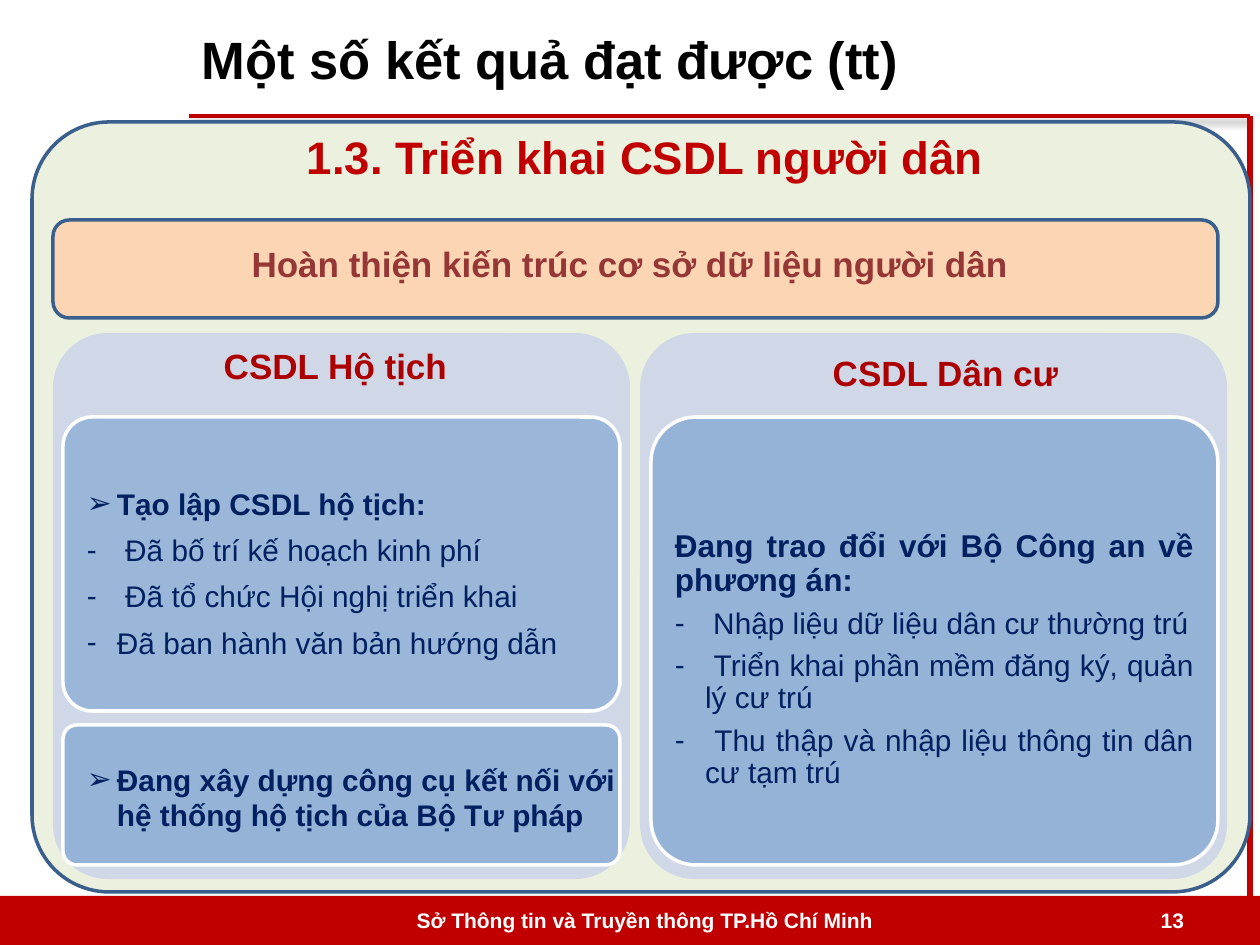
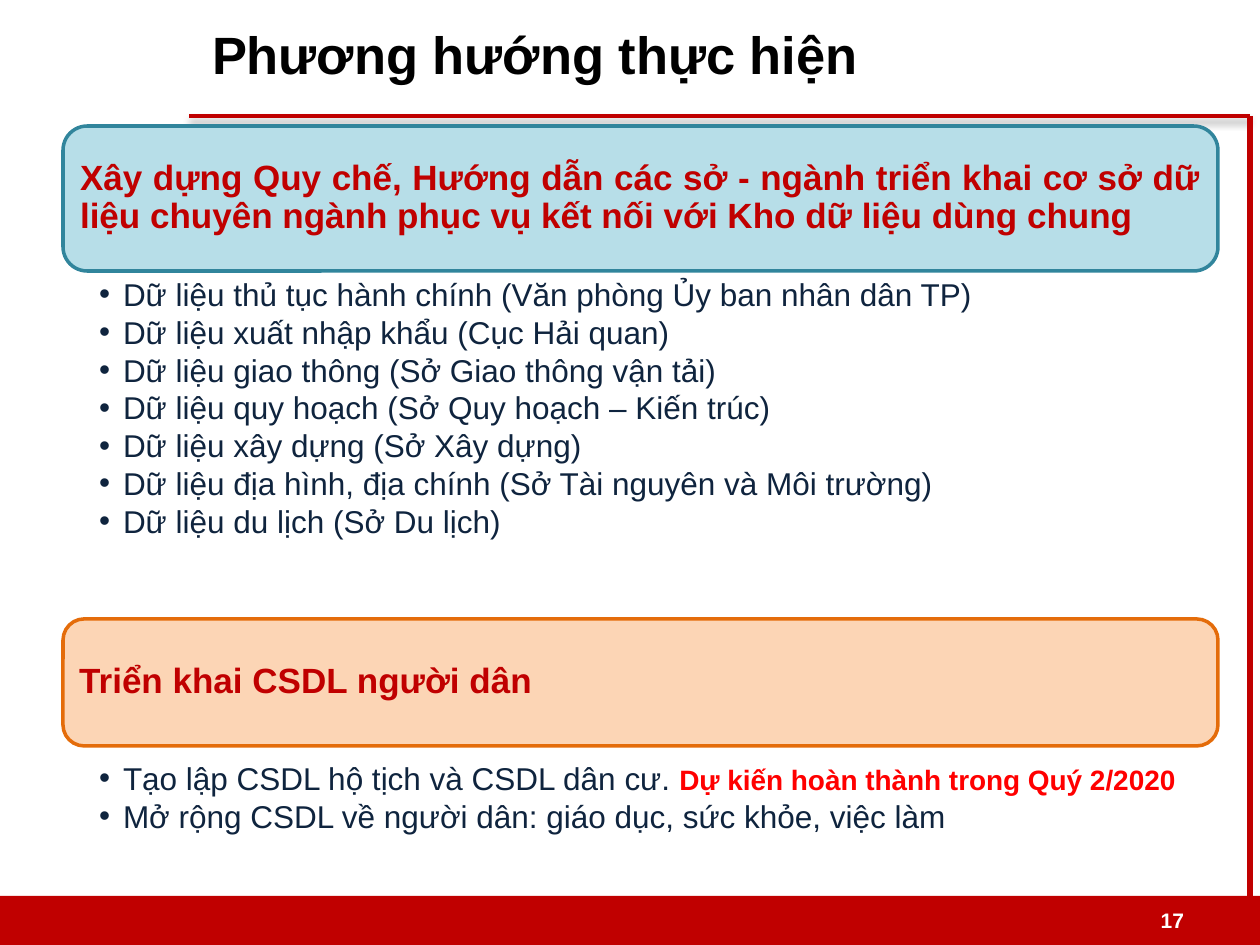
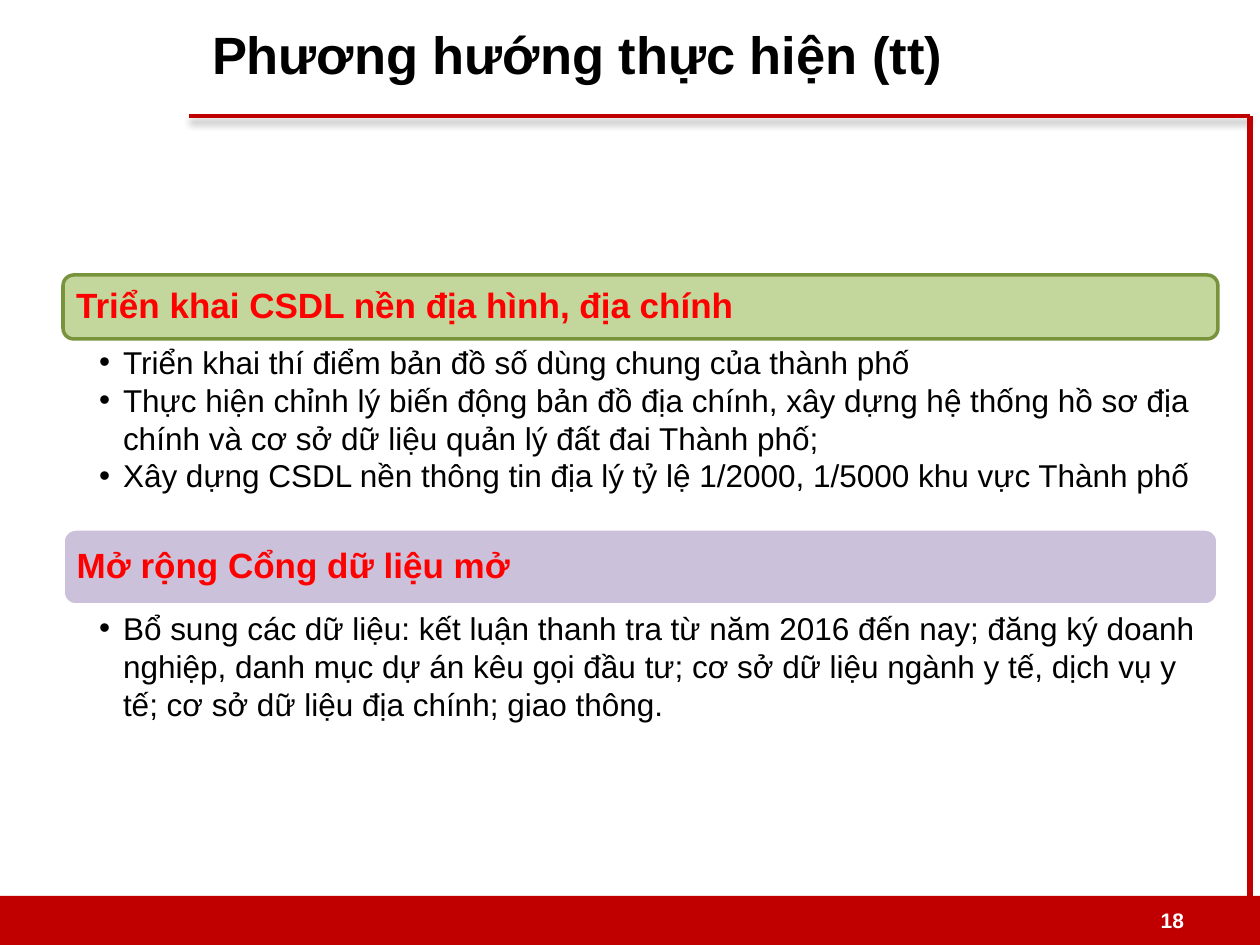
import pptx
import pptx.util
import pptx.dml.color
import pptx.enum.shapes
import pptx.enum.text
import pptx.oxml
import pptx.oxml.ns
from lxml import etree

# Shared style
PX = 914400 / 126
FONT = "Arial"
RED, BRIGHT_RED, WHITE, BLACK = "C00000", "FF0000", "FFFFFF", "000000"
NAVY, INK, STEEL, PANEL, BOX, PEACH = "002060", "0F243E", "3A5F8C", "D0D8E8", "95B3D7", "FCD5B5"
SHAPE = pptx.enum.shapes.MSO_SHAPE
ALIGN = pptx.enum.text.PP_ALIGN
ANCHOR = pptx.enum.text.MSO_ANCHOR


def px(length):
    return pptx.util.Emu(round(length * PX))


def rgb(value):
    return pptx.dml.color.RGBColor.from_string(value)


def sub(parent, tag, **attributes):
    return etree.SubElement(parent, pptx.oxml.ns.qn(tag), attributes)


class Deck:
    def __init__(self):
        self.presentation = pptx.Presentation()
        self.presentation.slide_width = px(1260)
        self.presentation.slide_height = px(945)
        self.slide = None

    def new_slide(self, number, footer=None):
        """Start a slide with its red band, rules and footer."""
        self.slide = self.presentation.slides.add_slide(self.presentation.slide_layouts[6])
        self.box(0, 896, 1260, 49, RED, shape=SHAPE.RECTANGLE)
        self.rule(189, 116, 1250, 116, 2.25, shadow=True)
        self.rule(1250, 116, 1250, 903, 3)
        label = dict(size=12, color=WHITE, bold=True)
        if footer:
            self.text(394, 895, 502, 50, [footer], align=ALIGN.CENTER, **label)
        self.text(903, 895, 294, 50, [number], align=ALIGN.RIGHT, **label)

    def title(self, left, top, words):
        self.text(left, top, 1040, 100, [words], size=30, color=BLACK, bold=True)

    def rule(self, x1, y1, x2, y2, width, shadow=False):
        line = self.slide.shapes.add_connector(
            pptx.enum.shapes.MSO_CONNECTOR.STRAIGHT, px(x1), px(y1), px(x2), px(y2))
        line.line.color.rgb = rgb(RED)
        line.line.width = pptx.util.Pt(width)
        effects = sub(line._element.spPr, "a:effectLst")
        if shadow:
            outer = sub(effects, "a:outerShdw", blurRad="50800", dist="38100",
                        dir="5400000", rotWithShape="0")
            sub(sub(outer, "a:srgbClr", val=BLACK), "a:alpha", val="40000")

    def box(self, left, top, width, height, fill, outline=None, corner=None,
            opacity=None, shape=SHAPE.ROUNDED_RECTANGLE):
        box = self.slide.shapes.add_shape(shape, px(left), px(top), px(width), px(height))
        box.shadow.inherit = False
        if corner is not None:
            box.adjustments[0] = corner
        box.fill.solid()
        box.fill.fore_color.rgb = rgb(fill)
        if opacity is not None:
            color = box._element.spPr.find(".//" + pptx.oxml.ns.qn("a:srgbClr"))
            sub(color, "a:alpha", val=str(opacity * 1000))
        if outline:
            box.line.color.rgb = rgb(outline)
            box.line.width = pptx.util.Pt(2)
        else:
            box.line.fill.background()
        return box

    def text(self, left, top, width, height, lines, insets=(13, 6, 13, 6),
             anchor=ANCHOR.MIDDLE, **style):
        area = self.slide.shapes.add_textbox(px(left), px(top), px(width), px(height))
        self.set_lines(area.text_frame, lines, insets, anchor, **style)

    def set_lines(self, frame, lines, insets, anchor, **style):
        """Each line is a string, or (string, changes to the style)."""
        frame.word_wrap = True
        frame.vertical_anchor = anchor
        (frame.margin_left, frame.margin_top,
         frame.margin_right, frame.margin_bottom) = map(px, insets)
        for index, line in enumerate(lines):
            words, changes = (line, {}) if isinstance(line, str) else line
            paragraph = frame.paragraphs[0] if index == 0 else frame.add_paragraph()
            self.paragraph(paragraph, words, index > 0, **{**style, **changes})

    def paragraph(self, paragraph, words, follows, size, color, bold=False,
                  align=ALIGN.LEFT, spacing=1.0, gap=0, bullet=None, indent=0, remark=None):
        paragraph.add_run().text = words
        if bullet:
            properties = paragraph._p.get_or_add_pPr()
            properties.set("marL", str(px(indent)))
            properties.set("indent", str(-px(indent)))
            sub(properties, "a:buFont", typeface=FONT)
            sub(properties, "a:buChar", char=bullet)
        paragraph.alignment = align
        paragraph.line_spacing = spacing
        paragraph.space_before = pptx.util.Pt(gap if follows else 0)
        self.font(paragraph.font, size, color, bold)
        if remark:
            run = paragraph.add_run()
            run.text = remark
            self.font(run.font, 16, BRIGHT_RED, True)

    def font(self, font, size, color, bold):
        font.name = FONT
        font.size = pptx.util.Pt(size)
        font.color.rgb = rgb(color)
        font.bold = bold

    def heading(self, top, height, words, fill, outline, color, align=ALIGN.LEFT):
        bar = self.box(63, top, 1155, height, fill, outline)
        self.set_lines(bar.text_frame, [words], (10, 10, 10, 10), ANCHOR.MIDDLE,
                       size=20, color=color, bold=True, align=align, spacing=0.9)

    def bullets(self, top, height, lines, color):
        self.text(63, top, 1155, height, lines, (36, 4, 18, 4), ANCHOR.TOP,
                  size=18, color=color, bullet="•", indent=24)


def citizen_database(deck):
    deck.new_slide("13", "Sở Thông tin và Truyền thông TP.Hồ Chí Minh")
    deck.box(32, 122, 1218, 770, "EBF1DE", STEEL, 0.1)
    deck.text(168, 122, 955, 68, ["1.3. Triển khai CSDL người dân"],
              size=26, color=RED, bold=True, align=ALIGN.CENTER)
    deck.box(53, 220, 1165, 98, PEACH, STEEL)
    deck.text(63, 236, 1134, 55, ["Hoàn thiện kiến trúc cơ sở dữ liệu người dân"],
              size=20, color="953735", bold=True, align=ALIGN.CENTER)

    # Two panels with their captions
    panels = [(53, 577, 147, 368, "CSDL Hộ tịch"), (640, 587, 757, 375, "CSDL Dân cư")]
    for left, width, caption_left, middle, caption in panels:
        deck.box(left, 333, width, 546, PANEL, corner=0.1)
        deck.text(caption_left, middle - 35, 377, 70, [caption], size=20, color="AC0000",
                  bold=True, align=ALIGN.CENTER, spacing=0.9)

    # Boxes and their points
    deck.box(63, 417, 557, 294, BOX, WHITE, 0.1, opacity=90)
    deck.box(63, 725, 557, 140, BOX, WHITE, 0.1)
    deck.box(651, 417, 567, 448, BOX, WHITE, 0.1)
    points = dict(insets=(3, 3, 3, 3), size=17, color=NAVY, gap=6, indent=30, bullet="-")
    lead = dict(bold=True, bullet="➢", align=ALIGN.LEFT)
    deck.text(84, 473, 526, 200, [
        ("Tạo lập CSDL hộ tịch:", lead),
        " Đã bố trí kế hoạch kinh phí",
        " Đã tổ chức Hội nghị triển khai",
        "Đã ban hành văn bản hướng dẫn",
    ], align=ALIGN.JUSTIFY, **points)
    deck.text(84, 747, 536, 100, [
        ("Đang xây dựng công cụ kết nối với hệ thống hộ tịch của Bộ Tư pháp", lead),
    ], **points)
    deck.text(672, 520, 525, 280, [
        ("Đang trao đổi với Bộ Công an về phương án:", dict(size=18, bold=True, bullet=None)),
        " Nhập liệu dữ liệu dân cư thường trú",
        " Triển khai phần mềm đăng ký, quản lý cư trú",
        " Thu thập và nhập liệu thông tin dân cư tạm trú",
    ], align=ALIGN.JUSTIFY, spacing=0.9, **points)
    deck.title(189, 9, "Một số kết quả đạt được (tt)")


def directions(deck):
    deck.new_slide("17")
    deck.heading(126, 145, "Xây dựng Quy chế, Hướng dẫn các sở - ngành triển khai cơ sở dữ liệu "
                 "chuyên ngành phục vụ kết nối với Kho dữ liệu dùng chung",
                 "B7DEE8", "31859C", RED, ALIGN.JUSTIFY)
    deck.bullets(271, 358, [
        "Dữ liệu thủ tục hành chính (Văn phòng Ủy ban nhân dân TP)",
        "Dữ liệu xuất nhập khẩu (Cục Hải quan)",
        "Dữ liệu giao thông (Sở Giao thông vận tải)",
        "Dữ liệu quy hoạch (Sở Quy hoạch – Kiến trúc)",
        "Dữ liệu xây dựng (Sở Xây dựng)",
        "Dữ liệu địa hình, địa chính (Sở Tài nguyên và Môi trường)",
        "Dữ liệu du lịch (Sở Du lịch)",
    ], INK)
    deck.heading(619, 127, "Triển khai CSDL người dân", PEACH, "E46C0A", RED)
    deck.bullets(755, 148, [
        ("Tạo lập CSDL hộ tịch và CSDL dân cư. ",
         dict(remark="Dự kiến hoàn thành trong Quý 2/2020")),
        "Mở rộng CSDL về người dân: giáo dục, sức khỏe, việc làm",
    ], INK)
    deck.title(199, 4, "Phương hướng thực hiện")


def directions_continued(deck):
    deck.new_slide("18")
    deck.heading(275, 64, "Triển khai CSDL nền địa hình, địa chính",
                 "C3D69B", "77933C", BRIGHT_RED)
    deck.bullets(339, 190, [
        "Triển khai thí điểm bản đồ số dùng chung của thành phố",
        "Thực hiện chỉnh lý biến động bản đồ địa chính, xây dựng hệ thống hồ sơ địa chính "
        "và cơ sở dữ liệu quản lý đất đai Thành phố;",
        "Xây dựng CSDL nền thông tin địa lý tỷ lệ 1/2000, 1/5000 khu vực Thành phố",
    ], BLACK)
    deck.heading(529, 76, "Mở rộng Cổng dữ liệu mở", "CCC1DA", WHITE, BRIGHT_RED)
    deck.bullets(605, 152, [
        "Bổ sung các dữ liệu: kết luận thanh tra từ năm 2016 đến nay; đăng ký doanh nghiệp, "
        "danh mục dự án kêu gọi đầu tư; cơ sở dữ liệu ngành y tế, dịch vụ y tế; "
        "cơ sở dữ liệu địa chính; giao thông.",
    ], BLACK)
    deck.title(199, 4, "Phương hướng thực hiện (tt)")


def main():
    deck = Deck()
    citizen_database(deck)
    directions(deck)
    directions_continued(deck)
    deck.presentation.save("out.pptx")


if __name__ == "__main__":
    main()
